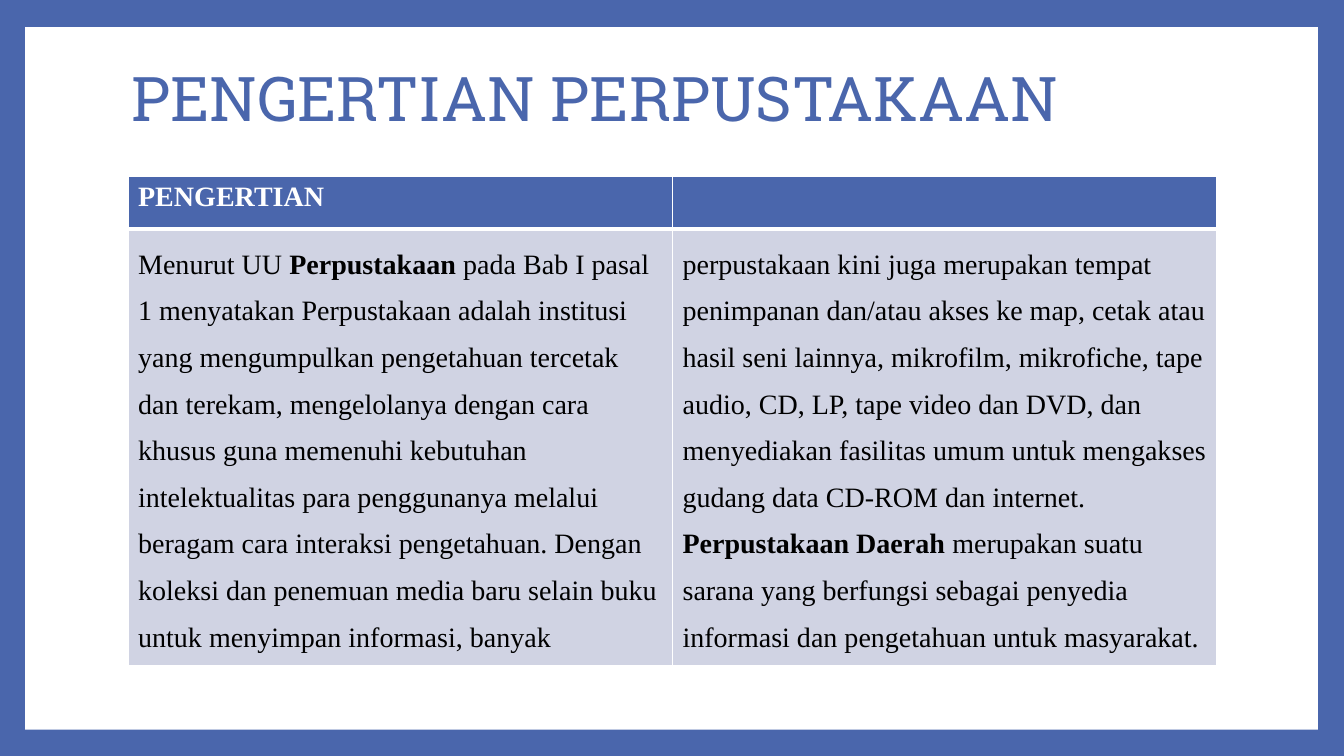
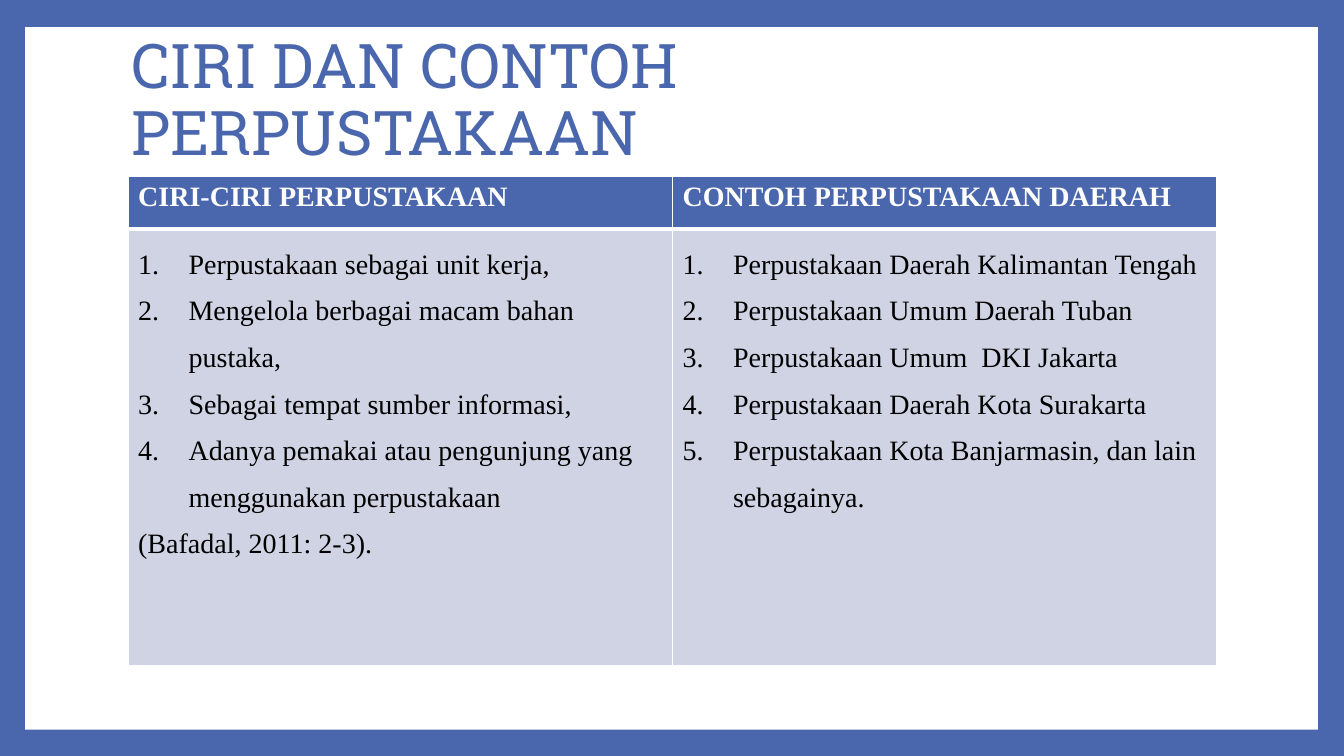
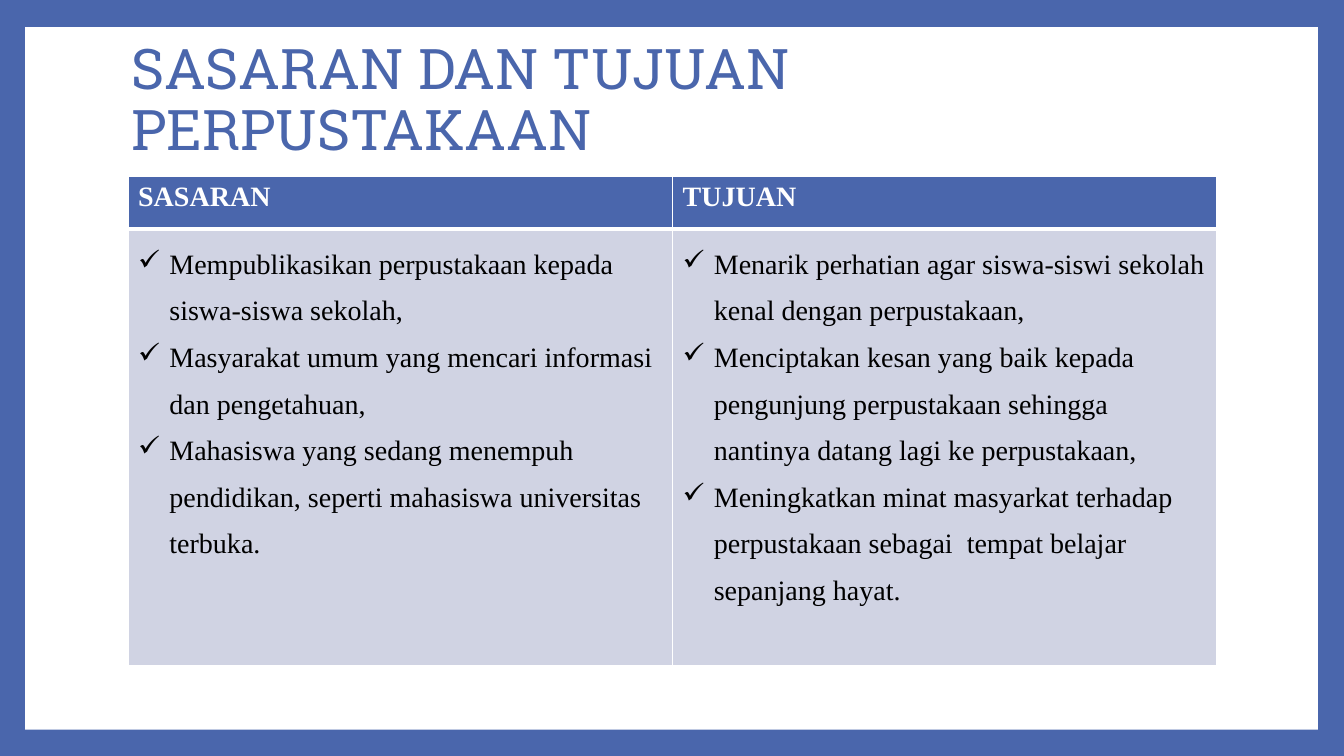
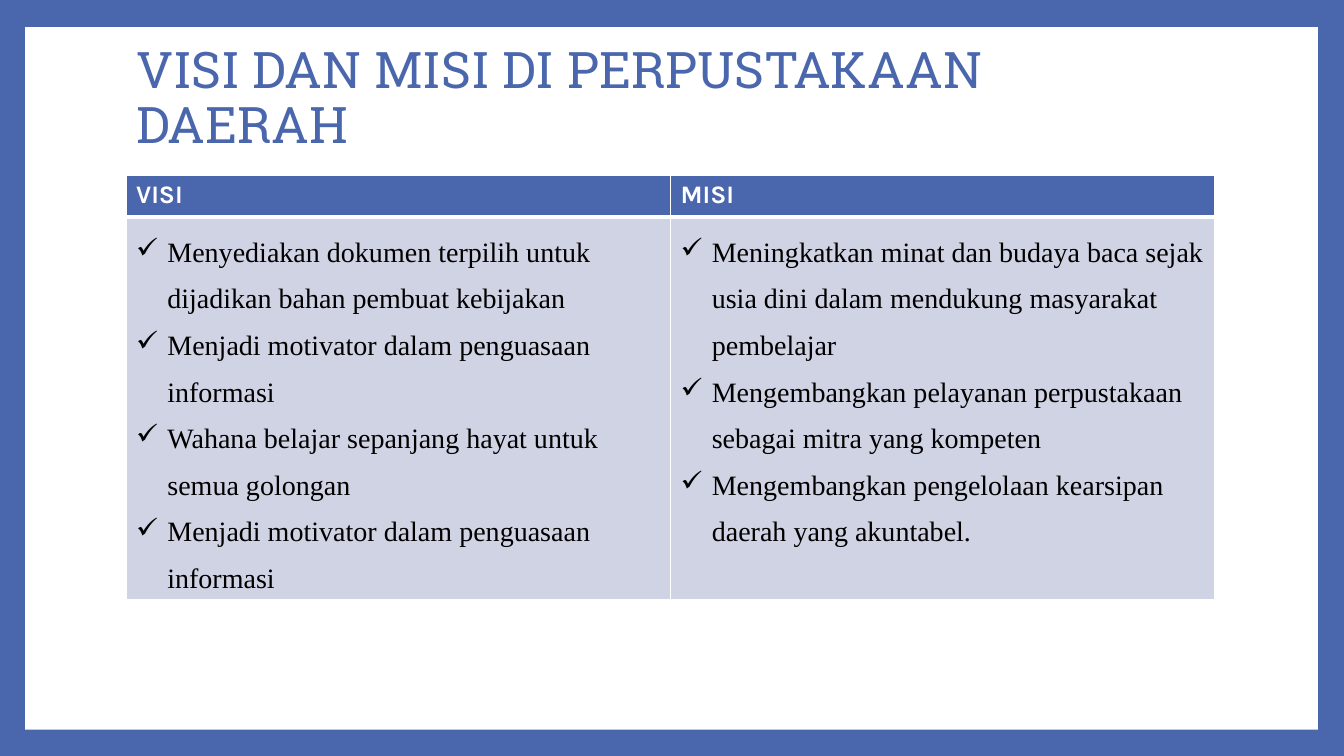
import pptx
import pptx.util
import pptx.dml.color
import pptx.enum.shapes
import pptx.enum.text
import pptx.oxml
import pptx.oxml.ns

Inches = pptx.util.Inches
Pt = pptx.util.Pt
HUES = {"blue": "4A66AC", "white": "FFFFFF", "pale": "D0D3E3", "black": "000000"}
SERIF = "Times New Roman"
NS = pptx.oxml.ns.nsdecls("a")


def style(run, font, size, hue, bold=False):
    run.font.name = font
    run.font.size = Pt(size)
    run.font.bold = bold
    run.font.color.rgb = pptx.dml.color.RGBColor.from_string(HUES[hue])


def paint(cell, hue, top, base):
    """Fill a cell and draw its white borders."""
    cell.fill.solid()
    cell.fill.fore_color.rgb = pptx.dml.color.RGBColor.from_string(HUES[hue])
    sides = [("L", 1), ("R", 1), ("T", top), ("B", base)]
    for spot, (side, width) in enumerate(sides):
        line = pptx.oxml.parse_xml(
            f'<a:ln{side} {NS} w="{Pt(width)}"><a:solidFill>'
            f'<a:srgbClr val="{HUES["white"]}"/></a:solidFill></a:ln{side}>')
        cell._tc.get_or_add_tcPr().insert(spot, line)


# Bullet kinds: indent in inches and the mark itself
MARKS = {
    "number": (0.5, f'<a:buAutoNum {NS} type="arabicPeriod"/>'),
    "check": (0.31, f'<a:buChar {NS} char="✓"/>'),
}

# Slide content; ** switches bold on and off
PAGES = [
    {"title": "PENGERTIAN PERPUSTAKAAN", "size": 44, "mark": None,
     "heads": ["PENGERTIAN", ""],
     "lists": [
         ["Menurut UU **Perpustakaan **pada Bab I pasal 1 menyatakan Perpustakaan "
          "adalah institusi yang mengumpulkan pengetahuan tercetak dan terekam, "
          "mengelolanya dengan cara khusus guna memenuhi kebutuhan intelektualitas "
          "para penggunanya melalui beragam cara interaksi pengetahuan. Dengan "
          "koleksi dan penemuan media baru selain buku untuk menyimpan informasi, "
          "banyak"],
         ["perpustakaan kini juga merupakan tempat penimpanan dan/atau akses ke map, "
          "cetak atau hasil seni lainnya, mikrofilm, mikrofiche, tape audio, CD, LP, "
          "tape video dan DVD, dan menyediakan fasilitas umum untuk mengakses gudang "
          "data CD-ROM dan internet. **Perpustakaan Daerah **merupakan suatu sarana "
          "yang berfungsi sebagai penyedia informasi dan pengetahuan untuk "
          "masyarakat."]]},
    {"title": "CIRI DAN CONTOH PERPUSTAKAAN", "size": 44, "mark": "number",
     "heads": ["CIRI-CIRI PERPUSTAKAAN", "CONTOH PERPUSTAKAAN DAERAH"],
     "lists": [
         ["Perpustakaan sebagai unit kerja,",
          "Mengelola berbagai macam bahan pustaka,",
          "Sebagai tempat sumber informasi,",
          "Adanya pemakai atau pengunjung yang menggunakan perpustakaan",
          "(Bafadal, 2011: 2-3)."],
         ["Perpustakaan Daerah Kalimantan Tengah",
          "Perpustakaan Umum Daerah Tuban",
          "Perpustakaan Umum  DKI Jakarta",
          "Perpustakaan Daerah Kota Surakarta",
          "Perpustakaan Kota Banjarmasin, dan lain sebagainya."]]},
    {"title": "SASARAN DAN TUJUAN PERPUSTAKAAN", "size": 40, "mark": "check",
     "heads": ["SASARAN", "TUJUAN"],
     "lists": [
         ["Mempublikasikan perpustakaan kepada siswa-siswa sekolah,",
          "Masyarakat umum yang mencari informasi dan pengetahuan,",
          "Mahasiswa yang sedang menempuh pendidikan, seperti mahasiswa universitas "
          "terbuka."],
         ["Menarik perhatian agar siswa-siswi sekolah kenal dengan perpustakaan,",
          "Menciptakan kesan yang baik kepada pengunjung perpustakaan sehingga "
          "nantinya datang lagi ke perpustakaan,",
          "Meningkatkan minat masyarkat terhadap perpustakaan sebagai  tempat "
          "belajar sepanjang hayat."]]},
    {"title": "VISI DAN MISI DI PERPUSTAKAAN DAERAH", "size": 36, "mark": "check",
     "heads": ["VISI", "MISI"], "font": ("Karla", 18),
     "spot": (1.25, 0.25), "grid": (1.25, 1.74), "rows": (0.41, 0.41),
     "lists": [
         ["Menyediakan dokumen terpilih untuk dijadikan bahan pembuat kebijakan",
          "Menjadi motivator dalam penguasaan informasi",
          "Wahana belajar sepanjang hayat untuk semua golongan",
          "Menjadi motivator dalam penguasaan informasi"],
         ["Meningkatkan minat dan budaya baca sejak usia dini dalam mendukung "
          "masyarakat pembelajar",
          "Mengembangkan pelayanan perpustakaan sebagai mitra yang kompeten",
          "Mengembangkan pengelolaan kearsipan daerah yang akuntabel."]]},
]

deck = pptx.Presentation()
deck.slide_width = Inches(13.33)
deck.slide_height = Inches(7.5)
master = deck.slide_master
layout = deck.slide_layouts[5]

# Blue frame on the master
back = master.background.fill
back.solid()
back.fore_color.rgb = pptx.dml.color.RGBColor.from_string(HUES["blue"])

for page in PAGES:
    slide = deck.slides.add_slide(layout)

    # White panel, made once and moved to the master
    if page is PAGES[0]:
        panel = slide.shapes.add_shape(
            pptx.enum.shapes.MSO_SHAPE.RECTANGLE,
            Inches(0.25), Inches(0.27), Inches(12.82), Inches(6.97))
        panel.shadow.inherit = False
        panel.fill.solid()
        panel.fill.fore_color.rgb = pptx.dml.color.RGBColor.from_string(HUES["white"])
        panel.line.fill.background()
        master.placeholders[0].element.addprevious(panel.element)

    # Title
    title = slide.shapes.title
    left, top = page.get("spot", (1.2, 0.27))
    title.left, title.top = Inches(left), Inches(top)
    title.width, title.height = Inches(10.8), Inches(1.48)
    frame = title.text_frame
    frame.text = page["title"]
    frame.word_wrap = True
    frame.auto_size = pptx.enum.text.MSO_AUTO_SIZE.NONE
    frame.vertical_anchor = pptx.enum.text.MSO_ANCHOR.MIDDLE
    frame.margin_right = Inches(0.3)
    para = frame.paragraphs[0]
    para.alignment = pptx.enum.text.PP_ALIGN.LEFT
    para.line_spacing = 0.9
    style(para.runs[0], "Roboto Slab", page["size"], "blue")

    # Table
    left, top = page.get("grid", (1.27, 1.75))
    rows = page.get("rows", (0.52, 4.33))
    table = slide.shapes.add_table(2, 2, Inches(left), Inches(top),
                                   Inches(10.8), Inches(sum(rows))).table
    for row, height in zip(table.rows, rows):
        row.height = Inches(height)

    for col in range(2):
        # Header cell
        head = table.cell(0, col)
        paint(head, "blue", 1, 3)
        head.text_frame.text = page["heads"][col]
        for run in head.text_frame.paragraphs[0].runs:
            style(run, *page.get("font", (SERIF, 20)), "white", True)

        # Body cell
        body = table.cell(1, col)
        paint(body, "pale", 3, 1)
        frame = body.text_frame
        for spot, item in enumerate(page["lists"][col]):
            para = frame.add_paragraph() if spot else frame.paragraphs[0]
            para.line_spacing = 1.5
            for turn, part in enumerate(item.split("**")):
                run = para.add_run()
                run.text = part
                style(run, SERIF, 20, "black", turn % 2 == 1)
            # A source note in brackets carries no bullet
            if page["mark"] and not item.startswith("("):
                dent, mark = MARKS[page["mark"]]
                props = para._p.get_or_add_pPr()
                props.set("marL", str(Inches(dent)))
                props.set("indent", str(-Inches(dent)))
                props.append(pptx.oxml.parse_xml(mark))

deck.save("out.pptx")
